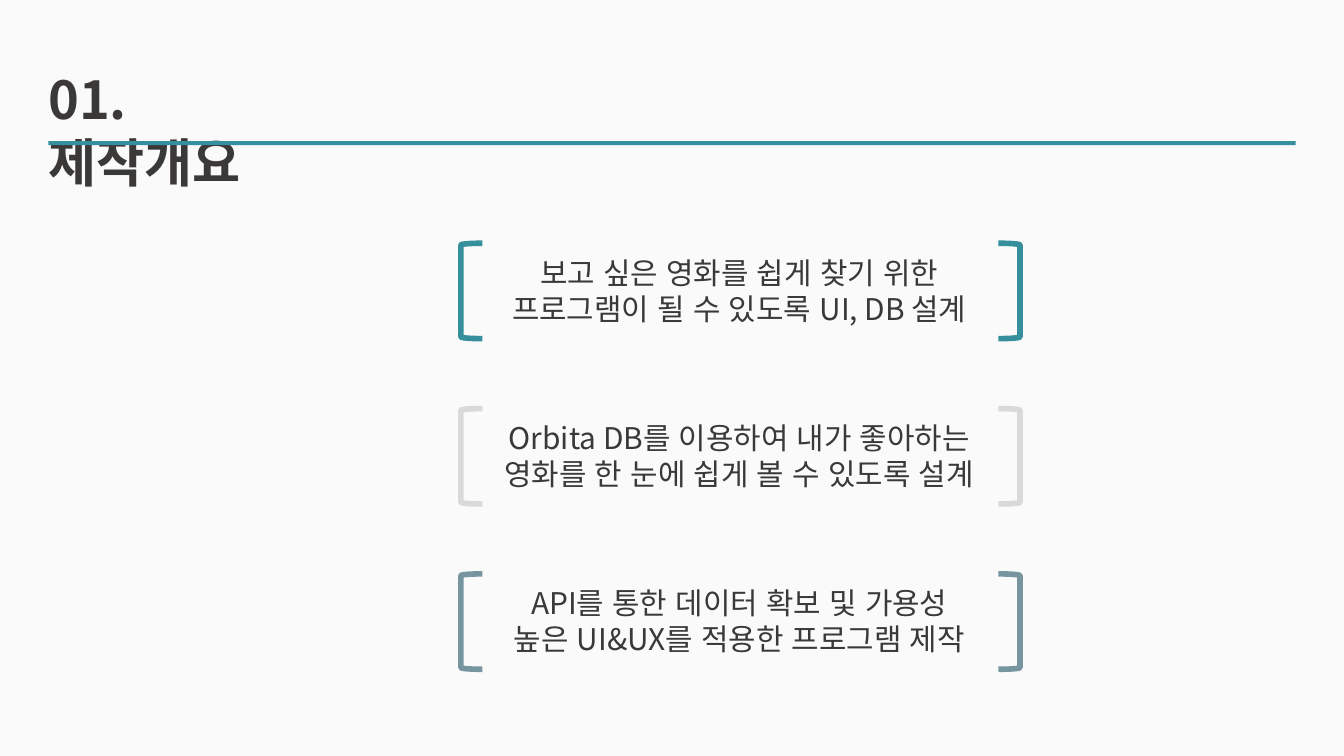
from dataclasses import dataclass

from pptx import Presentation
from pptx.dml.color import RGBColor
from pptx.enum import lang, shapes, text
from pptx.oxml.ns import qn
from pptx.util import Inches, Pt

TEAL = RGBColor(0x35, 0x8F, 0x9C)
SILVER = RGBColor(0xD9, 0xD9, 0xD9)
SLATE = RGBColor(0x77, 0x95, 0x9E)
INK = RGBColor(0x3B, 0x38, 0x38)
PAPER = RGBColor(0xFA, 0xFA, 0xFA)
FONT = "Noto Sans CJK KR"

# Grid in inches: 16:9 page, margin, then one row for each goal
SLIDE_WIDTH = 10
SLIDE_HEIGHT = SLIDE_WIDTH * 9 / 16
MARGIN = 0.36
FIRST_ROW, ROW_PITCH = 1.81, 1.23
BRACKET_COLUMNS = (3.43, 7.43)
BRACKET_WIDTH, BRACKET_HEIGHT = 0.16, 0.71
TEXT_LEFT, TEXT_WIDTH, TEXT_HEIGHT = 3.64, 3.72, 0.64


@dataclass
class Goal:
    color: RGBColor
    paragraphs: tuple[str, ...]


GOALS = (
    Goal(TEAL, ("보고 싶은 영화를 쉽게 찾기 위한", "프로그램이 될 수 있도록 UI, DB 설계")),
    Goal(SILVER, ("Orbita DB를 이용하여 내가 좋아하는 영화를 한 눈에 쉽게 볼 수 있도록 설계",)),
    Goal(SLATE, ("API를 통한 데이터 확보 및 가용성 높은 UI&UX를 적용한 프로그램 제작",)),
)


def add_run(paragraph, words: str, size: int, bold: bool = False) -> None:
    run = paragraph.add_run()
    run.text = words
    run.font.size = Pt(size)
    run.font.bold = bold
    run.font.color.rgb = INK
    run.font.language_id = lang.MSO_LANGUAGE_ID.KOREAN
    run.font.name = FONT
    # Korean glyphs take the East Asian typeface
    east_asian = run.font._element.makeelement(qn("a:ea"), {"typeface": FONT})
    run.font._element.find(qn("a:latin")).addnext(east_asian)


def add_title(slide, words: str) -> None:
    title = slide.shapes.title
    title.left, title.top = Inches(MARGIN), Inches(0.45)
    title.width, title.height = Inches(2.11), Inches(0.57)
    frame = title.text_frame
    frame.word_wrap = True
    frame.auto_size = text.MSO_AUTO_SIZE.NONE
    frame.vertical_anchor = text.MSO_ANCHOR.TOP
    frame.margin_left = 0
    frame.margin_right = Inches(0.2)  # keeps the number on its own line
    frame.margin_top = frame.margin_bottom = Inches(0.05)
    paragraph = frame.paragraphs[0]
    paragraph.alignment = text.PP_ALIGN.LEFT
    add_run(paragraph, words, 28, bold=True)


def add_rule(slide) -> None:
    rule = slide.shapes.add_shape(
        shapes.MSO_SHAPE.RECTANGLE, Inches(MARGIN), Inches(1.05),
        Inches(SLIDE_WIDTH - 2 * MARGIN), Inches(0.03))
    rule.shadow.inherit = False
    rule.fill.solid()
    rule.fill.fore_color.rgb = TEAL
    rule.line.fill.background()


def add_bracket(group, left: float, top: float, color: RGBColor, flipped: bool) -> None:
    bracket = group.shapes.add_shape(
        shapes.MSO_SHAPE.LEFT_BRACKET, Inches(left), Inches(top),
        Inches(BRACKET_WIDTH), Inches(BRACKET_HEIGHT))
    bracket.adjustments[0] = 0.08
    bracket.shadow.inherit = False
    bracket.fill.background()
    bracket.line.color.rgb = color
    bracket.line.width = Pt(3)
    if flipped:
        bracket._element.spPr.xfrm.set("flipH", "1")


def add_goal(slide, goal: Goal, row: int) -> None:
    top = FIRST_ROW + row * ROW_PITCH
    group = slide.shapes.add_group_shape()
    for column, left in enumerate(BRACKET_COLUMNS):
        add_bracket(group, left, top, goal.color, flipped=column == 1)
    box = group.shapes.add_textbox(
        Inches(TEXT_LEFT), Inches(top + (BRACKET_HEIGHT - TEXT_HEIGHT) / 2),
        Inches(TEXT_WIDTH), Inches(TEXT_HEIGHT))
    frame = box.text_frame
    frame.word_wrap = True
    for index, words in enumerate(goal.paragraphs):
        paragraph = frame.add_paragraph() if index else frame.paragraphs[0]
        paragraph.alignment = text.PP_ALIGN.CENTER
        add_run(paragraph, words, 16)


def main() -> None:
    presentation = Presentation()
    presentation.slide_width = Inches(SLIDE_WIDTH)
    presentation.slide_height = Inches(SLIDE_HEIGHT)
    slide = presentation.slides.add_slide(
        presentation.slide_layouts.get_by_name("Title Only"))
    slide.background.fill.solid()
    slide.background.fill.fore_color.rgb = PAPER

    # Heading
    add_title(slide, "01. 제작개요")
    add_rule(slide)

    # Goals between brackets
    for row, goal in enumerate(GOALS):
        add_goal(slide, goal, row)

    presentation.save("out.pptx")


if __name__ == "__main__":
    main()
